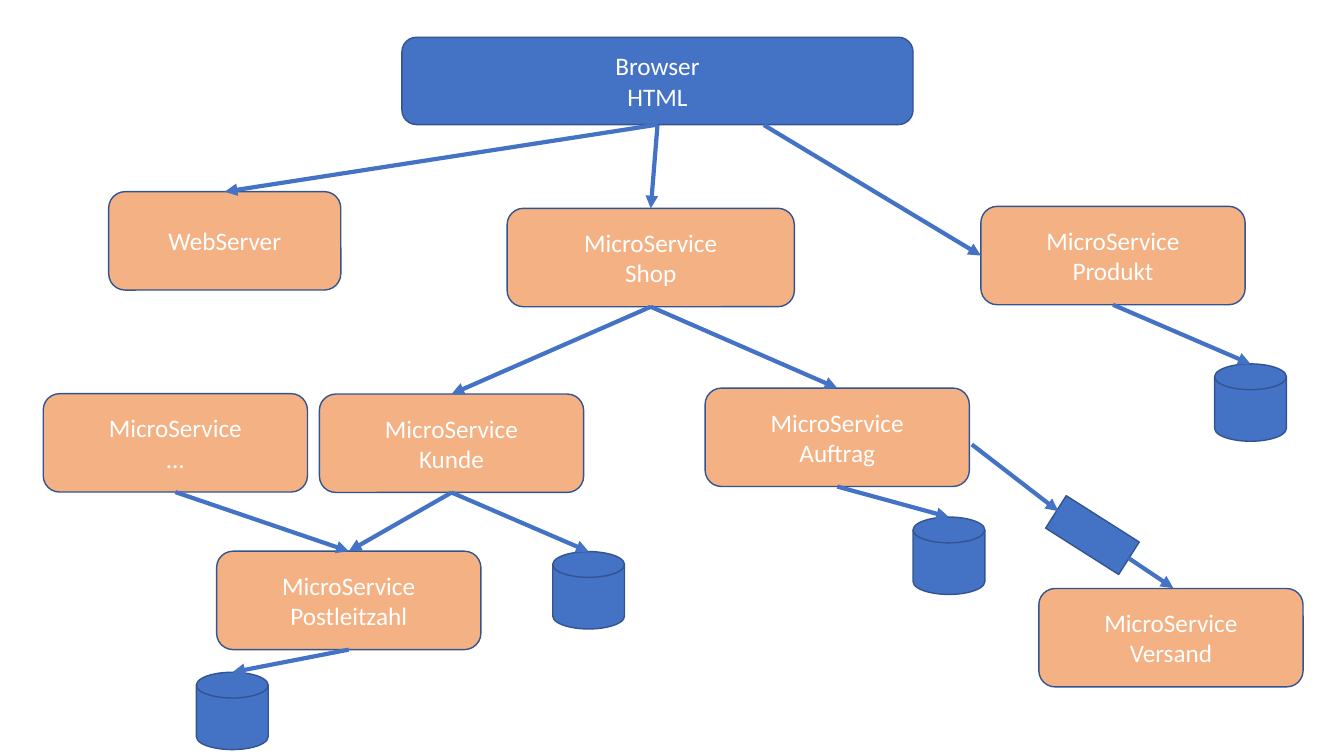
from dataclasses import dataclass
from typing import Any, NamedTuple

from lxml.etree import SubElement
from pptx import Presentation
from pptx.dml.color import RGBColor
from pptx.enum.shapes import MSO_CONNECTOR, MSO_SHAPE
from pptx.enum.text import MSO_ANCHOR, PP_ALIGN
from pptx.oxml.ns import qn
from pptx.shapes.autoshape import Shape
from pptx.shapes.connector import Connector
from pptx.slide import Slide
from pptx.util import Cm, Pt


@dataclass(frozen=True)
class Theme:
    blue: RGBColor = RGBColor(0x44, 0x72, 0xC4)
    orange: RGBColor = RGBColor(0xF4, 0xB1, 0x83)
    outline: RGBColor = RGBColor(0x32, 0x54, 0x91)
    text: RGBColor = RGBColor(0xFF, 0xFF, 0xFF)
    font: str = "Calibri"
    text_size: Pt = Pt(18)
    outline_width: Pt = Pt(1)
    arrow_width: Pt = Pt(3)


THEME = Theme()


class Node(NamedTuple):
    name: str
    left: float
    top: float
    text: str = ""
    width: float = 6.66
    height: float = 2.48
    kind: MSO_SHAPE = MSO_SHAPE.ROUNDED_RECTANGLE
    fill: RGBColor = THEME.orange
    rotation: float = 0


class Point(NamedTuple):
    x: float
    y: float


class Anchor(NamedTuple):
    name: str
    site: int


class Arrow(NamedTuple):
    start: Point | Anchor
    end: Point | Anchor


TOP, LEFT, BOTTOM = 0, 1, 2
DISK_TOP = 1


def service(name: str, left: float, top: float, label: str, width: float = 6.66) -> Node:
    return Node(name, left, top, f"MicroService\n{label}", width)


def database(name: str, left: float, top: float) -> Node:
    return Node(name, left, top, width=1.81, height=1.95,
                kind=MSO_SHAPE.FLOWCHART_MAGNETIC_DISK, fill=THEME.blue)


NODES = [
    Node("browser", 10.13, 0.94, "Browser\nHTML", 12.88, 2.2, fill=THEME.blue),
    Node("web server", 2.74, 4.83, "WebServer", 5.85),
    service("shop", 12.78, 5.25, "Shop", 7.24),
    service("product", 24.72, 5.2, "Produkt"),
    service("other", 1.09, 9.92, "…"),
    service("customer", 8.05, 9.93, "Kunde"),
    service("order", 17.77, 9.78, "Auftrag"),
    service("postcode", 5.46, 13.89, "Postleitzahl"),
    service("shipping", 26.18, 14.83, "Versand"),
    database("product data", 30.61, 9.17),
    database("customer data", 13.93, 13.9),
    database("order data", 23.01, 13.03),
    database("postcode data", 4.95, 16.94),
    Node("queue", 26.44, 13, width=2.18, height=0.97,
         kind=MSO_SHAPE.RECTANGLE, fill=THEME.blue, rotation=32.4),
]

CALLS = [
    ("browser", "web server"),
    ("browser", "shop"),
    ("shop", "customer"),
    ("shop", "order"),
    ("other", "postcode"),
    ("customer", "postcode"),
]
STORES = ["product", "customer", "order", "postcode"]

ARROWS = [
    *(Arrow(Anchor(caller, BOTTOM), Anchor(called, TOP)) for caller, called in CALLS),
    *(Arrow(Anchor(name, BOTTOM), Anchor(f"{name} data", DISK_TOP)) for name in STORES),
    Arrow(Point(19.25, 3.15), Anchor("product", LEFT)),
    Arrow(Point(24.49, 11.2), Point(26.67, 12.88)),
    Arrow(Point(28.45, 14.07), Point(29.57, 14.82)),
]


def apply_format(target: Any, values: dict[str, Any]) -> None:
    for attribute, value in values.items():
        setattr(target, attribute, value)


def write_label(shape: Shape, text: str) -> None:
    apply_format(shape.text_frame, {"word_wrap": True, "vertical_anchor": MSO_ANCHOR.MIDDLE})
    paragraph = shape.text_frame.paragraphs[0]
    paragraph.text = text
    paragraph.alignment = PP_ALIGN.CENTER
    for run in paragraph.runs:
        apply_format(run.font, {"name": THEME.font, "size": THEME.text_size})
        run.font.color.rgb = THEME.text


def draw_node(slide: Slide, node: Node) -> Shape:
    shape = slide.shapes.add_shape(
        node.kind, Cm(node.left), Cm(node.top), Cm(node.width), Cm(node.height))
    shape.rotation = node.rotation
    shape.shadow.inherit = False
    shape.fill.solid()
    shape.fill.fore_color.rgb = node.fill
    shape.line.color.rgb = THEME.outline
    shape.line.width = THEME.outline_width
    if node.text:
        write_label(shape, node.text)
    return shape


def locate(place: Point | Anchor, shapes: dict[str, Shape]) -> tuple[int, int]:
    if isinstance(place, Point):
        return Cm(place.x), Cm(place.y)
    shape = shapes[place.name]
    is_disk = shape.auto_shape_type == MSO_SHAPE.FLOWCHART_MAGNETIC_DISK
    side = TOP if is_disk else place.site
    center = shape.left + shape.width // 2
    return {
        TOP: (center, shape.top),
        LEFT: (shape.left, shape.top + shape.height // 2),
        BOTTOM: (center, shape.top + shape.height),
    }[side]


def draw_arrow(slide: Slide, arrow: Arrow, shapes: dict[str, Shape]) -> Connector:
    start_x, start_y = locate(arrow.start, shapes)
    end_x, end_y = locate(arrow.end, shapes)
    connector = slide.shapes.add_connector(
        MSO_CONNECTOR.STRAIGHT, start_x, start_y, end_x, end_y)
    if isinstance(arrow.start, Anchor):
        connector.begin_connect(shapes[arrow.start.name], arrow.start.site)
    if isinstance(arrow.end, Anchor):
        connector.end_connect(shapes[arrow.end.name], arrow.end.site)
    apply_format(connector, {
        "begin_x": start_x, "begin_y": start_y, "end_x": end_x, "end_y": end_y})
    connector.line.color.rgb = THEME.blue
    connector.line.width = THEME.arrow_width
    properties = connector.element.spPr
    SubElement(properties.find(qn("a:ln")), qn("a:tailEnd"), type="triangle")
    SubElement(properties, qn("a:effectLst"))
    return connector


def main() -> None:
    presentation = Presentation()
    apply_format(presentation, {"slide_width": Cm(33.87), "slide_height": Cm(19.05)})
    slide = presentation.slides.add_slide(presentation.slide_layouts[6])
    shapes = {node.name: draw_node(slide, node) for node in NODES}
    for arrow in ARROWS:
        draw_arrow(slide, arrow, shapes)
    presentation.save("out.pptx")


main()
